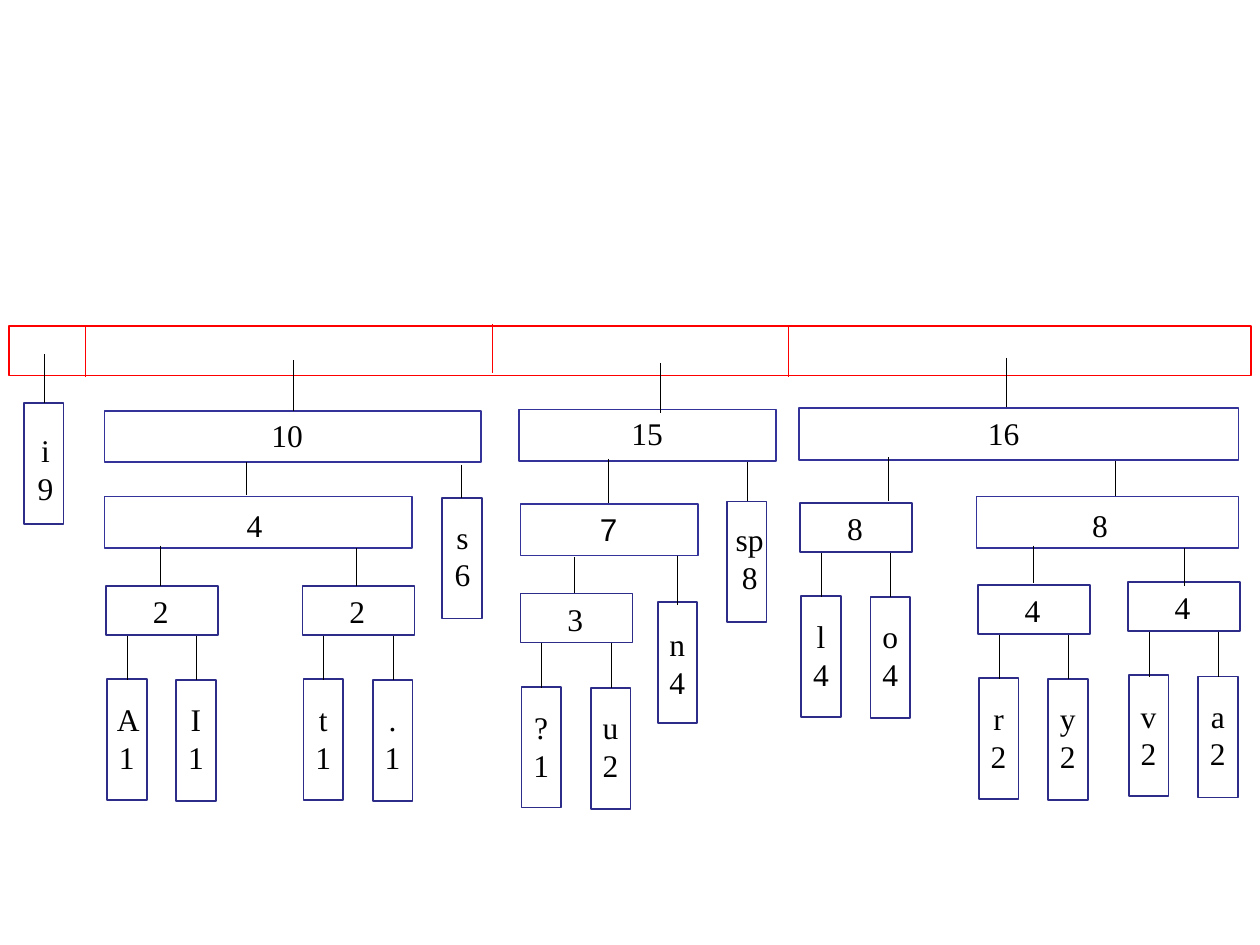
from typing import NamedTuple

from lxml.etree import SubElement
from pptx import Presentation
from pptx.dml.color import RGBColor
from pptx.enum.shapes import MSO_CONNECTOR, MSO_SHAPE
from pptx.enum.text import MSO_AUTO_SIZE, PP_ALIGN
from pptx.oxml.ns import qn
from pptx.slide import Slide
from pptx.util import Inches, Pt

WHITE = RGBColor(0xFF, 0xFF, 0xFF)
BLACK = RGBColor(0x00, 0x00, 0x00)
RED = RGBColor(0xFF, 0x00, 0x00)
NAVY = RGBColor(0x2D, 0x2D, 0x89)
INDIGO = RGBColor(0x33, 0x33, 0x99)

LEAF_W, LEAF_H = 0.315, 0.96
PAIR_W, PAIR_H = 0.89, 0.39
NODE_H = 0.41


class Label(NamedTuple):
    text: str
    x: float
    y: float
    w: float
    h: float = 0.4
    font: str = "Times New Roman"


class Pair(NamedTuple):
    x: float
    y: float
    total: str
    left: str
    right: str


class Leaf(NamedTuple):
    x: float
    y: float
    label: Label


class Node(NamedTuple):
    x: float
    y: float
    w: float
    label: Label


class Branch(NamedTuple):
    x: float
    top: float
    bottom: float


PAIRS = [
    Pair(0.84, 4.65, "2", "A\n1", "I1"),
    Pair(2.4, 4.65, "2", "t\n1", ".1"),
    Pair(4.13, 4.71, "3", "?1", "u2"),
    Pair(7.76, 4.64, "4", "r2", "y\n2"),
    Pair(8.95, 4.62, "4", "v\n2", "a2"),
    Pair(6.35, 3.99, "8", "l4", "o4"),
]
LEAVES = [
    Leaf(0.19, 3.2, Label("i\n9", 0.05, 3.37, 0.62, 0.7)),
    Leaf(3.51, 3.95, Label("s6", 3.51, 4.06, 0.32, 0.7)),
    Leaf(5.22, 4.78, Label("n4", 5.2, 4.91, 0.35, 0.7)),
    Leaf(5.77, 3.98, Label("sp\n8", 5.64, 4.08, 0.62, 0.7)),
]
NODES = [
    Node(0.83, 3.94, 2.44, Label("4", 1.21, 3.97, 1.62)),
    Node(0.83, 3.26, 2.99, Label("10", 2, 3.25, 0.56)),
    Node(4.13, 4, 1.41, Label("7", 4.27, 4, 1.12, font="Arial")),
    Node(4.12, 3.25, 2.04, Label("15", 4.79, 3.24, 0.69)),
    Node(7.75, 3.94, 2.08, Label("8", 8.42, 3.97, 0.62)),
    Node(6.34, 3.24, 3.49, Label("16", 7.62, 3.24, 0.69)),
]
BACK_BRANCHES = [Branch(5.93, 3.59, 3.98), Branch(8.85, 3.58, 3.97)]
FRONT_BRANCHES = [
    Branch(0.35, 2.81, 3.2),
    Branch(2.33, 2.86, 3.26),
    Branch(5.24, 2.88, 3.28),
    Branch(7.99, 2.84, 3.23),
    Branch(1.96, 3.67, 3.93),
    Branch(3.66, 3.69, 3.95),
    Branch(4.83, 3.64, 3.99),
    Branch(7.05, 3.63, 3.98),
    Branch(1.27, 4.33, 4.65),
    Branch(2.83, 4.35, 4.65),
    Branch(4.56, 4.42, 4.71),
    Branch(5.38, 4.41, 4.8),
    Branch(8.2, 4.33, 4.63),
    Branch(9.4, 4.35, 4.65),
]
DIVIDERS = [Branch(0.68, 2.59, 2.99), Branch(3.91, 2.57, 2.96), Branch(6.26, 2.59, 2.99)]


def add_box(s: Slide, x: float, y: float, w: float, h: float, color: RGBColor) -> None:
    sp = s.shapes.add_shape(MSO_SHAPE.RECTANGLE, Inches(x), Inches(y), Inches(w), Inches(h))
    sp.shadow.inherit = False
    sp.fill.solid()
    sp.fill.fore_color.rgb = WHITE
    sp.line.color.rgb = color
    sp.line.width = Pt(1)


def add_branch(s: Slide, branch: Branch, color: RGBColor = BLACK) -> None:
    x = Inches(branch.x)
    line = s.shapes.add_connector(
        MSO_CONNECTOR.STRAIGHT, x, Inches(branch.top), x, Inches(branch.bottom))
    line.line.color.rgb = color
    line.line.width = Pt(0.5)
    SubElement(line._element.spPr, qn("a:effectLst"))


def add_label(s: Slide, label: Label) -> None:
    sp = s.shapes.add_textbox(
        Inches(label.x), Inches(label.y), Inches(label.w), Inches(label.h))
    tf = sp.text_frame
    tf.word_wrap = True
    tf.auto_size = MSO_AUTO_SIZE.SHAPE_TO_FIT_TEXT
    tf.text = label.text
    for p in tf.paragraphs:
        p.alignment = PP_ALIGN.CENTER
        p.font.name = label.font
        p.font.size = Pt(18)
        p.font.color.rgb = BLACK


def add_leaf(s: Slide, leaf: Leaf) -> None:
    add_box(s, leaf.x, leaf.y, LEAF_W, LEAF_H, NAVY)
    add_label(s, leaf.label)


def add_pair(s: Slide, pair: Pair) -> None:
    x, y = pair.x, pair.y
    for text, dx, dy in ((pair.left, 0.01, 0.74), (pair.right, 0.56, 0.75)):
        label = Label(text, x + dx - 0.02, y + 0.86, 0.35, 0.7)
        add_leaf(s, Leaf(x + dx, y + dy, label))
        add_branch(s, Branch(x + dx + 0.16, y + 0.36, y + 0.75))
    add_box(s, x, y, PAIR_W, PAIR_H, NAVY)
    add_label(s, Label(pair.total, x + 0.09, y, 0.69))


def add_node(s: Slide, node: Node) -> None:
    add_box(s, node.x, node.y, node.w, NODE_H, INDIGO)
    add_label(s, node.label)


def main() -> None:
    prs = Presentation()
    prs.slide_width, prs.slide_height = Inches(10), Inches(7.5)
    s = prs.slides.add_slide(prs.slide_layouts[6])
    add_box(s, 0.07, 2.59, 9.86, 0.39, RED)
    for divider in DIVIDERS:
        add_branch(s, divider, RED)
    for pair in PAIRS:
        add_pair(s, pair)
    for leaf in LEAVES:
        add_leaf(s, leaf)
    for branch in BACK_BRANCHES:
        add_branch(s, branch)
    for node in NODES:
        add_node(s, node)
    for branch in FRONT_BRANCHES:
        add_branch(s, branch)
    prs.save("out.pptx")


if __name__ == "__main__":
    main()
